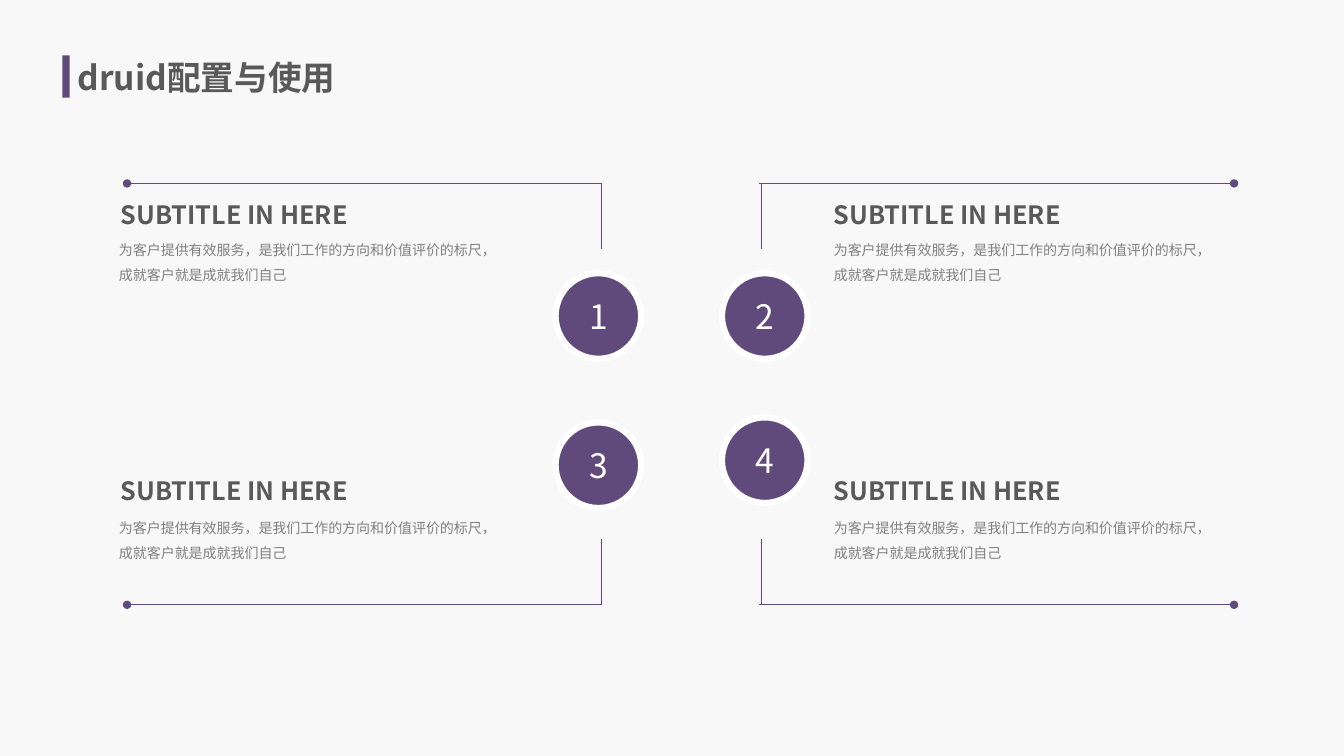
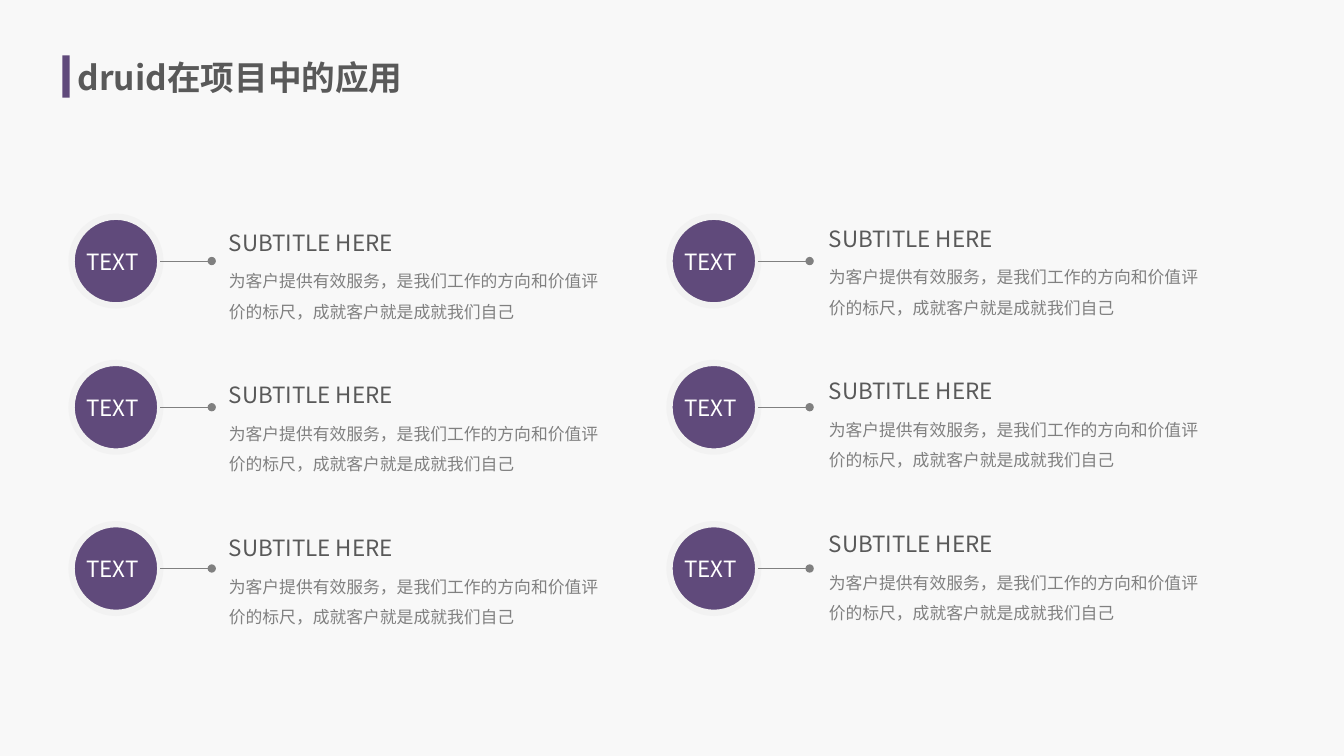
import pptx
import pptx.util
import pptx.dml.color
import pptx.enum.shapes
import pptx.enum.text
import pptx.oxml.ns
import lxml.etree

PX = 9144  # EMU per px, 100 px to the inch
FONT = "Noto Sans CJK SC"
COLORS = {
    "back": "F8F8F8",
    "purple": "604A7B",
    "white": "FFFFFF",
    "ring": "F2F2F2",
    "dark": "595959",
    "gray": "808080",
}
BODY = "为客户提供有效服务，是我们工作的方向和价值评价的标尺，成就客户就是成就我们自己"
SHAPE = pptx.enum.shapes.MSO_SHAPE
ALIGN = pptx.enum.text.PP_ALIGN
ANCHOR = pptx.enum.text.MSO_ANCHOR
qn = pptx.oxml.ns.qn


def rgb(name):
    return pptx.dml.color.RGBColor.from_string(COLORS[name])


def px(*lengths):
    return [length * PX for length in lengths]


# Shared parts
def write(sp, text, size, color, bold=False, align=ALIGN.LEFT,
          anchor=ANCHOR.TOP, insets=(5, 5, 5, 5), spacing=1.0, before=0):
    tf = sp.text_frame
    tf.word_wrap = True
    tf.auto_size = pptx.enum.text.MSO_AUTO_SIZE.NONE
    tf.vertical_anchor = anchor
    tf.margin_left, tf.margin_top, tf.margin_right, tf.margin_bottom = px(*insets)
    p = tf.paragraphs[0]
    p.text = text
    p.alignment = align
    p.line_spacing = spacing
    p.space_before = pptx.util.Pt(before)
    p.font.name = FONT
    p.font.size = pptx.util.Pt(size)
    p.font.bold = bold
    p.font.color.rgb = rgb(color)
    # East Asian glyphs need their own typeface entry
    props = p._p.pPr.find(qn("a:defRPr"))
    lxml.etree.SubElement(props, qn("a:ea"), typeface=FONT)


def textbox(s, x, y, w, h, text, size, color, **style):
    write(s.shapes.add_textbox(*px(x, y, w, h)), text, size, color,
          before=6, **style)


def filled(s, kind, x, y, w, h):
    sp = s.shapes.add_shape(kind, *px(x, y, w, h))
    sp.shadow.inherit = False
    sp.fill.solid()
    sp.fill.fore_color.rgb = rgb("purple")
    sp.line.fill.background()
    return sp


def badge(s, x, y, d, text, size, ring, insets=(0, 0, 0, 0)):
    sp = filled(s, SHAPE.OVAL, x, y, d, d)
    sp.line.color.rgb = rgb(ring)
    sp.line.width = pptx.util.Pt(4.5)
    write(sp, text, size, "white", align=ALIGN.CENTER,
          anchor=ANCHOR.MIDDLE, insets=insets)


def line(s, x1, y1, x2, y2, color, dot=False):
    cx = s.shapes.add_connector(pptx.enum.shapes.MSO_CONNECTOR.STRAIGHT,
                                *px(x1, y1, x2, y2))
    cx.line.color.rgb = rgb(color)
    cx.line.width = pptx.util.Pt(0.5)
    props = cx._element.spPr
    if dot:
        lxml.etree.SubElement(props.find(qn("a:ln")), qn("a:tailEnd"), type="oval")
    lxml.etree.SubElement(props, qn("a:effectLst"))


def new_slide(prs, title):
    s = prs.slides.add_slide(prs.slide_layouts[5])
    sp = s.shapes.title
    sp.left, sp.top, sp.width, sp.height = px(72, 51, 423, 50)
    write(sp, title, 24, "dark", bold=True)
    filled(s, SHAPE.RECTANGLE, 62, 55, 7, 42)
    return s


# Slide 1: four numbered corners
def corner(s, x, y, w, h, number, on_left, on_top, badge_y):
    edge = y if on_top else y + h
    stub = edge + 65 if on_top else edge - 65
    inner, outer = (x + w, x) if on_left else (x, x + w)
    stem = inner - 1 if on_left else inner + 2
    line(s, stem, stub, stem, edge, "purple")
    line(s, inner, edge, outer, edge, "purple", dot=True)

    title_x, body_x = (x - 11, x - 13) if on_left else (x + 69, x + 69)
    title_y, body_y = (y + 11, y + 44) if on_top else (y + 48, y + 83)
    textbox(s, title_x, title_y, 403, 41, "SUBTITLE IN HERE", 18, "dark", bold=True)
    textbox(s, body_x, body_y, 388, 59, BODY, 10, "gray", spacing=1.5)

    badge_x = inner - 46 if on_left else inner - 37
    badge(s, badge_x, y + badge_y, 85, str(number), 24, "white")


def corners_slide(prs):
    s = new_slide(prs, "druid配置与使用")
    for i, badge_y in enumerate((89, 89, 0, -5)):
        row, col = divmod(i, 2)
        corner(s, 126 + 627 * col, 182 + 237 * row, 471, 181, i + 1,
               on_left=col == 0, on_top=row == 0, badge_y=badge_y)


# Slide 2: two columns of three items
def item(s, x, y, text_x, text_y):
    badge(s, x, y, 88, "TEXT", 16, "ring", insets=(0, 0, 7, 0))
    line(s, x + 88, y + 44, x + 139, y + 44, "gray", dot=True)
    textbox(s, text_x, text_y, 388, 36, "SUBTITLE HERE", 16, "dark")
    textbox(s, text_x, text_y + 32, 388, 69, BODY, 12, "gray", spacing=1.5)


def items_slide(prs):
    s = new_slide(prs, "druid在项目中的应用")
    for x, text_x, lift in ((71, 222, 0), (664, 817, 4)):
        for y, text_y in ((215, 222), (360, 373), (520, 525)):
            item(s, x, y, text_x, text_y - lift)


def main():
    prs = pptx.Presentation()
    prs.slide_width, prs.slide_height = px(1333, 750)
    back = prs.slide_master.background.fill
    back.solid()
    back.fore_color.rgb = rgb("back")
    corners_slide(prs)
    items_slide(prs)
    prs.save("out.pptx")


if __name__ == "__main__":
    main()
